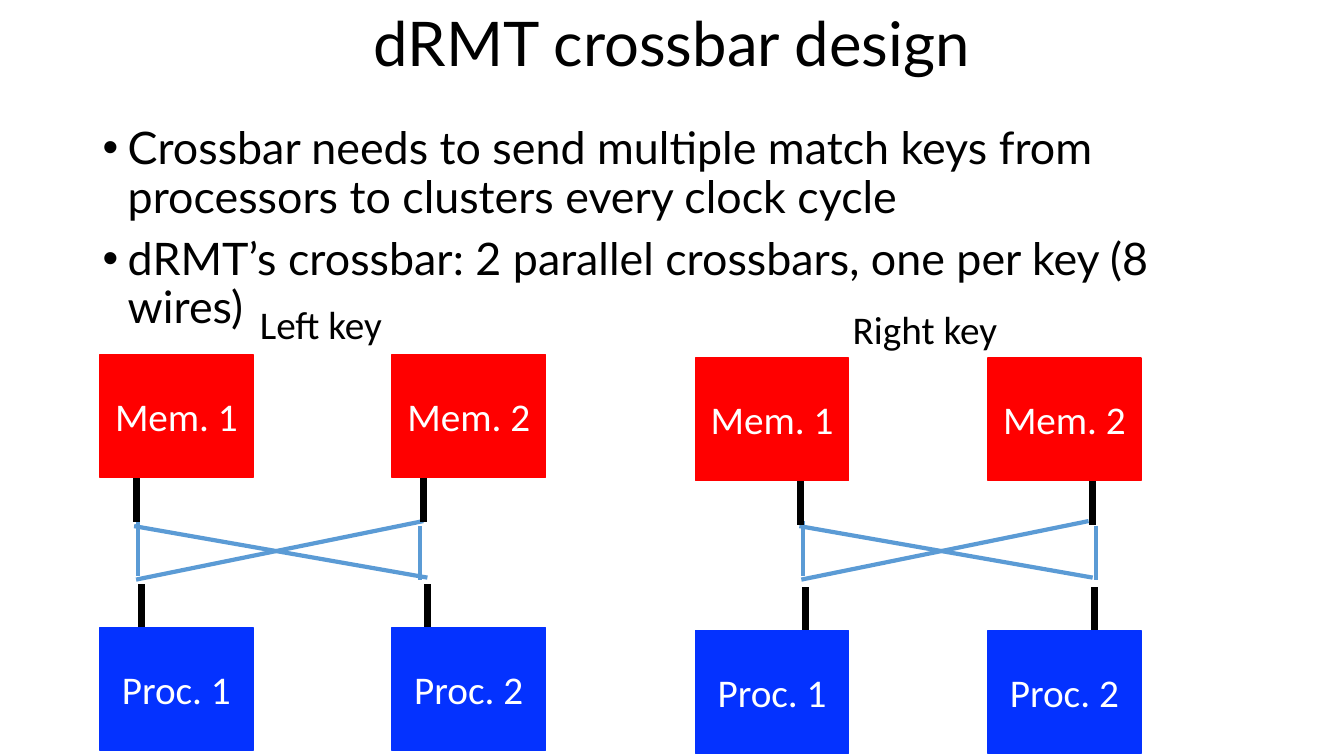
from pptx import Presentation
from pptx.dml.color import RGBColor
from pptx.enum.shapes import MSO_CONNECTOR, MSO_SHAPE
from pptx.enum.text import MSO_ANCHOR, PP_ALIGN
from pptx.oxml.ns import qn
from pptx.util import Pt
from lxml import etree

LINE, RECT = MSO_CONNECTOR.STRAIGHT, MSO_SHAPE.RECTANGLE
TOP, MIDDLE = MSO_ANCHOR.TOP, MSO_ANCHOR.MIDDLE
LEFT, CENTER = PP_ALIGN.LEFT, PP_ALIGN.CENTER

COLORS = {"black": "000000", "white": "FFFFFF", "red": "FF0000",
          "blue": "0432FF", "wire": "5B9BD5"}
TITLE = "dRMT crossbar design"
POINTS = [
    "Crossbar needs to send multiple match keys from processors to clusters every clock cycle",
    "dRMT’s crossbar: 2 parallel crossbars, one per key (8 wires)",
]
ROWS = [("Mem.", "red"), ("Proc.", "blue")]
PANELS = [
    {"key": "Left key", "label": (178.6, 211, 103, 41), "left": 71.3, "top": 253.4,
     "shift": 0, "edge": 300.2, "mem": (97.2, 302.4), "proc": (100.8, 305.3)},
    {"key": "Right key", "label": (602, 214.6, 118.8, 41), "left": 496.8, "top": 255.6,
     "shift": 475.2, "edge": 782.6, "mem": (571.7, 780.5), "proc": (575.3, 781.9)},
]
WIRES = [(95.8, 375.8, 305.3, 412.6), (97.2, 414, 302.4, 372.2),
         (98.6, 411.1, 98.6, 372.2)]
BOX_W, BOX_H = 109.4, 87.8
STEP_X, STEP_Y = 208.8, 194.8
STUB, MEM_Y, PROC_Y = 54, 65.2, 163.8

deck = Presentation()
deck.slide_width, deck.slide_height = Pt(960), Pt(540)
slide = deck.slides.add_slide(deck.slide_layouts[6])
shapes = slide.shapes


def color(name):
    return RGBColor.from_string(COLORS[name])


def write(shape, lines, size=28, font="Calibri", ink="black", align=LEFT,
          anchor=TOP, wrap=True, spacing=1, before=0, bullet=False):
    frame = shape.text_frame
    frame.word_wrap, frame.vertical_anchor = wrap, anchor
    frame.text = "\n".join(lines)
    for para in frame.paragraphs:
        para.alignment, para.line_spacing = align, spacing
        para.space_before = Pt(before)
        face = para.runs[0].font
        face.size, face.name = Pt(size), font
        face.color.rgb = color(ink)
        if bullet:
            props = para._p.get_or_add_pPr()
            props.set("marL", str(Pt(18)))
            props.set("indent", str(Pt(-18)))
            etree.SubElement(props, qn("a:buFont")).set("typeface", "Arial")
            etree.SubElement(props, qn("a:buChar")).set("char", "•")


def place(area):
    return shapes.add_textbox(*map(Pt, area))


def draw(ends, ink, width):
    link = shapes.add_connector(LINE, *map(Pt, ends))
    link.line.color.rgb, link.line.width = color(ink), Pt(width)
    etree.SubElement(link._element.spPr, qn("a:effectLst"))


def block(x, y, text, ink):
    box = shapes.add_shape(RECT, Pt(x), Pt(y), Pt(BOX_W), Pt(BOX_H))
    box.shadow.inherit = False
    box.fill.solid()
    box.fill.fore_color.rgb = color(ink)
    box.line.color.rgb, box.line.width = color(ink), Pt(1)
    write(box, [text], ink="white", align=CENTER, anchor=MIDDLE)


write(place((38.9, -18.7, 882, 104.4)), [TITLE], size=44, font="Lato",
      align=CENTER, anchor=MIDDLE, spacing=0.9)
write(place((66.2, 86.4, 828, 342.7)), POINTS, size=32, font="Lato",
      spacing=0.9, before=10, bullet=True)

for panel in PANELS:
    shift, edge, top = panel["shift"], panel["edge"], panel["top"]
    for x1, y1, x2, y2 in WIRES:
        draw((x1 + shift, y1, x2 + shift, y2), "wire", 3)
    draw((edge, 414, edge, 375.8), "wire", 3)
    for side, drop in (("mem", MEM_Y), ("proc", PROC_Y)):
        for x in panel[side]:
            draw((x, top + drop, x, top + drop + STUB), "black", 5)
    for row, (name, ink) in enumerate(ROWS):
        for col in range(2):
            block(panel["left"] + col * STEP_X, top + row * STEP_Y,
                  f"{name} {col + 1}", ink)
    write(place(panel["label"]), [panel["key"]], wrap=False)

deck.save("out.pptx")
